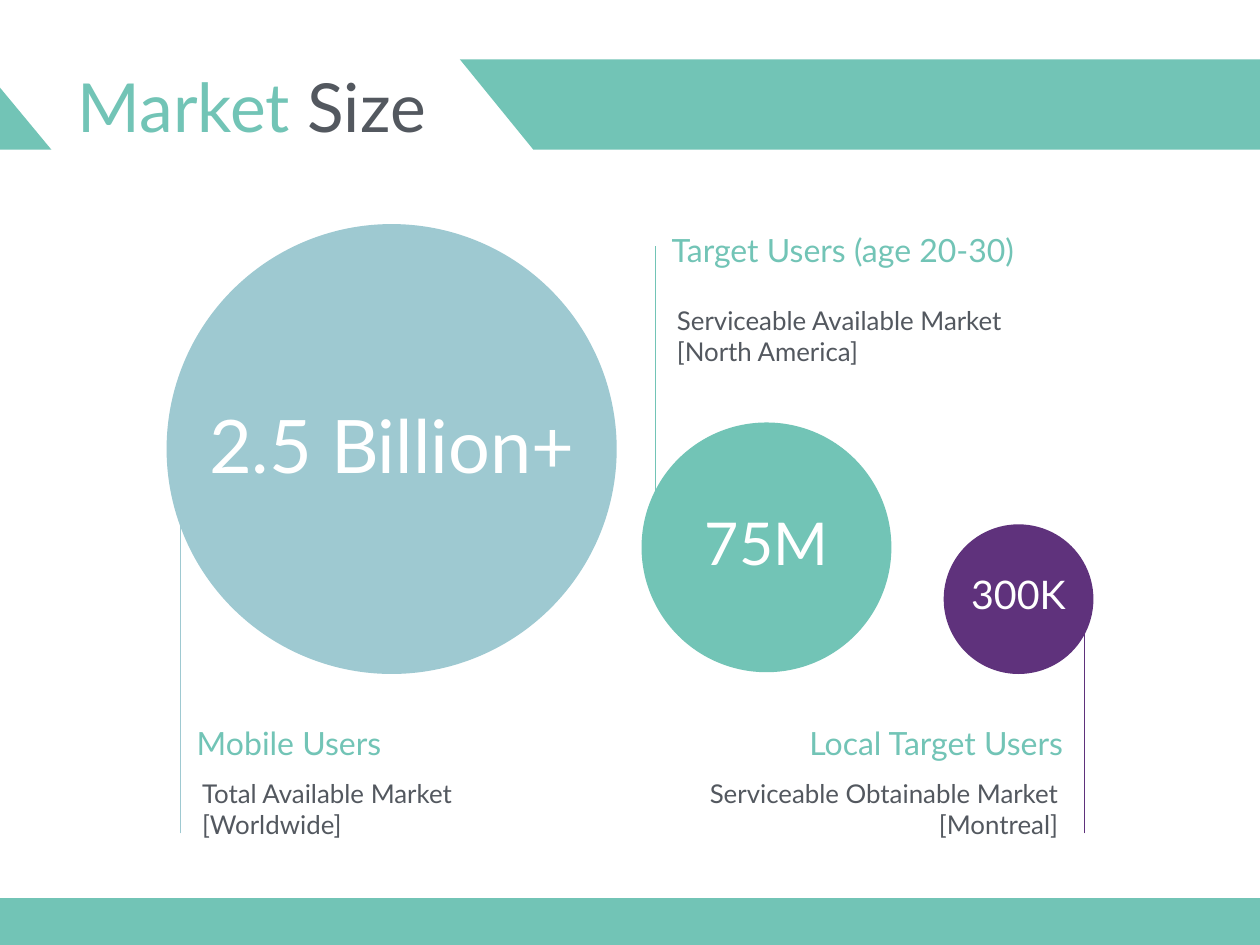
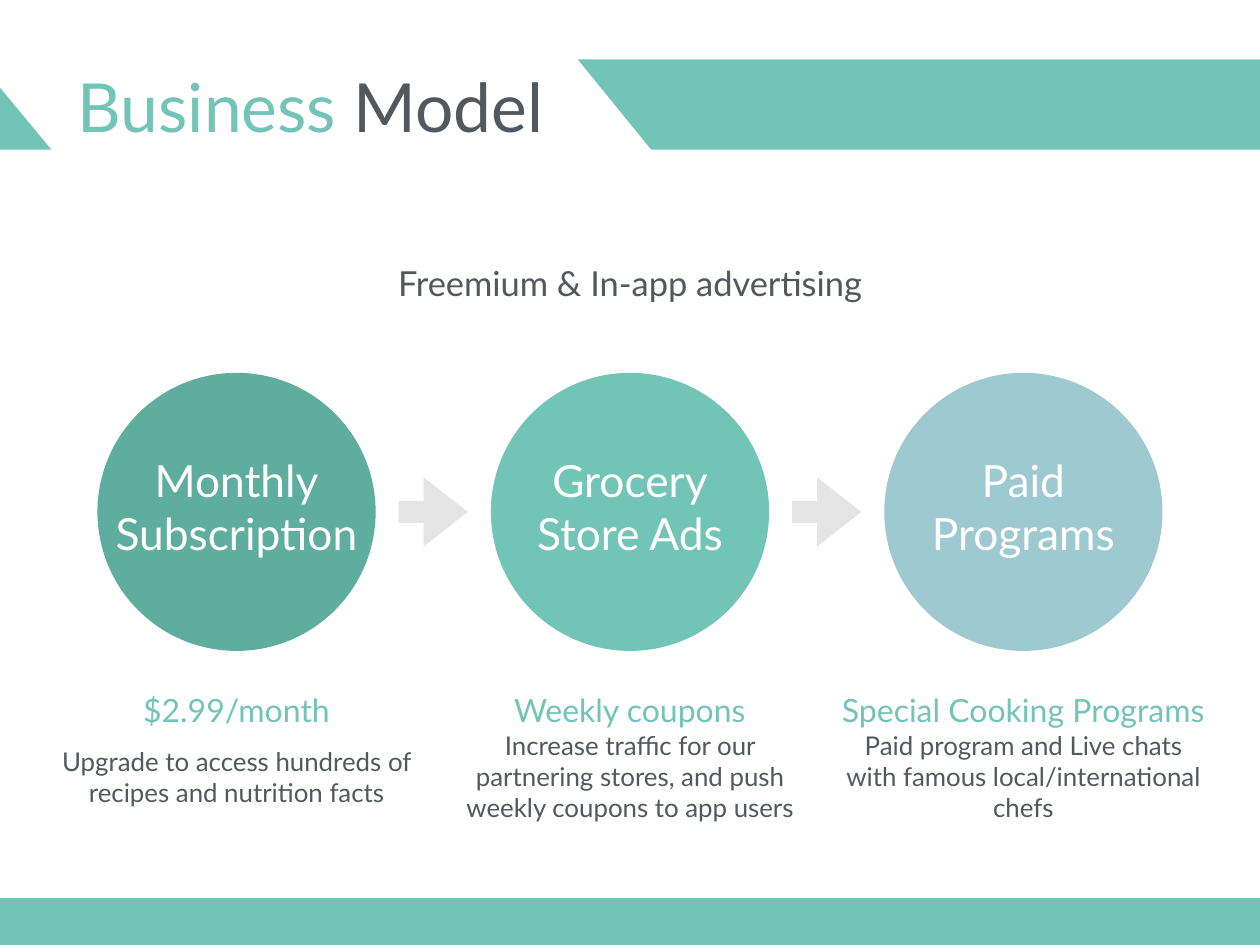
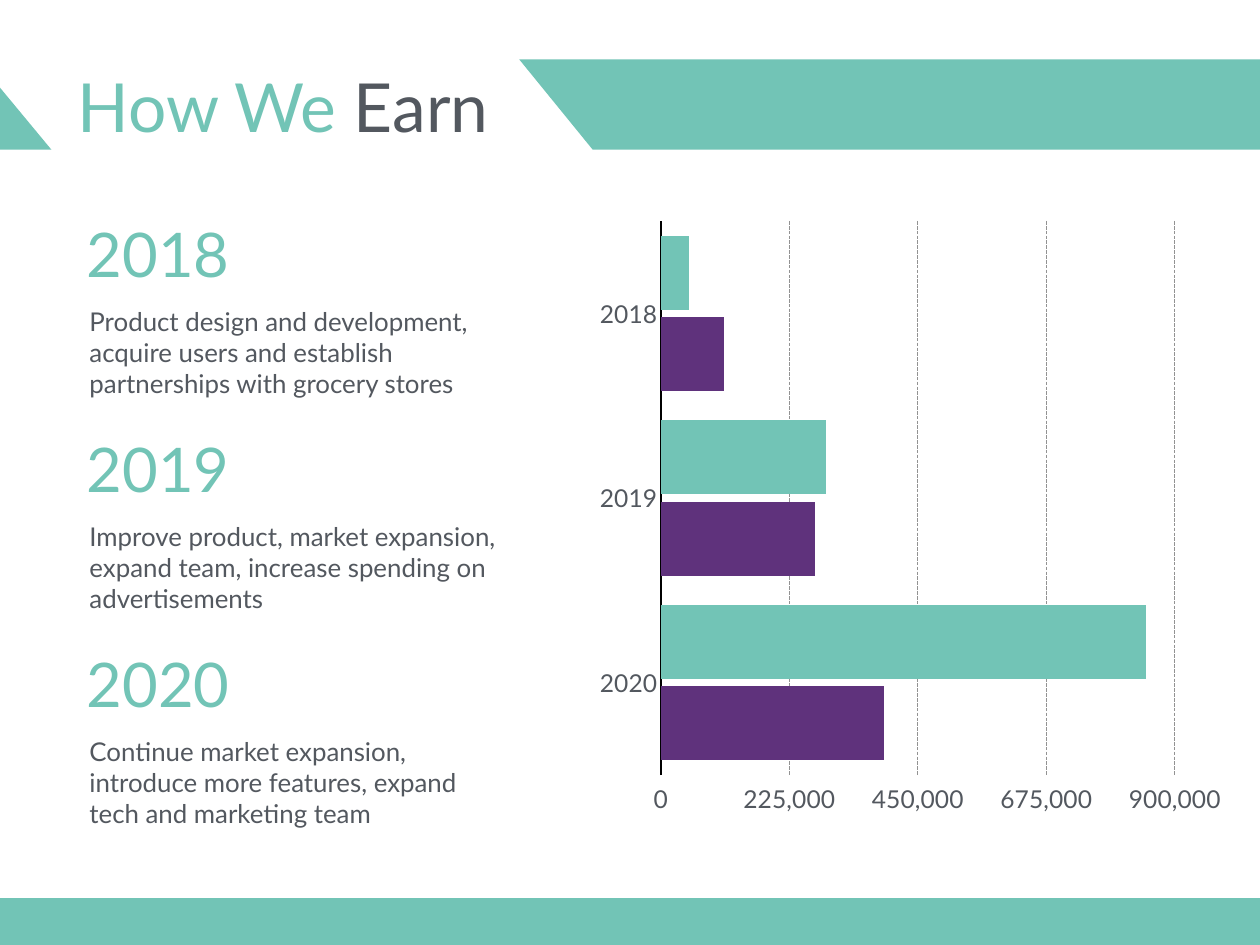
from lxml.etree import SubElement
from pptx import Presentation
from pptx.chart.data import CategoryChartData
from pptx.dml.color import RGBColor
from pptx.enum.chart import XL_CHART_TYPE, XL_TICK_LABEL_POSITION, XL_TICK_MARK
from pptx.enum.dml import MSO_LINE
from pptx.enum.shapes import MSO_CONNECTOR, MSO_SHAPE
from pptx.enum.text import MSO_ANCHOR, MSO_AUTO_SIZE, PP_ALIGN
from pptx.oxml import parse_xml
from pptx.oxml.ns import nsdecls, qn
from pptx.util import Inches, Pt

COLORS = {name: RGBColor.from_string(value) for name, value in {
    "teal": "72C4B6", "dark_teal": "5EAD9E", "blue": "9EC9D1", "purple": "5F327C",
    "text": "53585F", "white": "FFFFFF", "arrow": "E4E4E4", "grid": "929292",
    "axis": "000000"}.items()}
FONT = "Lato"
WIDTH, HEIGHT = 14.22, 10.67
BAND_TOP, BAND_BOTTOM, SLANT = 0.67, 1.69, 0.83
LEFT, CENTER, RIGHT = PP_ALIGN.LEFT, PP_ALIGN.CENTER, PP_ALIGN.RIGHT


def paint(shape, color):
    shape.fill.solid()
    shape.fill.fore_color.rgb = COLORS[color]
    shape.line.fill.background()
    shape.shadow.inherit = False


def write(tf, text, size, color, align=LEFT, inset=0, wrap=True):
    tf.text = text
    tf.word_wrap = wrap
    tf.auto_size = MSO_AUTO_SIZE.NONE
    tf.vertical_anchor = MSO_ANCHOR.MIDDLE
    tf.margin_left = tf.margin_right = tf.margin_top = tf.margin_bottom = Inches(inset)
    for p in tf.paragraphs:
        p.alignment = align
        for r in p.runs:
            r.font.name = FONT
            r.font.size = Pt(size)
            r.font.color.rgb = COLORS[color]


prs = Presentation()
prs.slide_width, prs.slide_height = Inches(WIDTH), Inches(HEIGHT)

# Shared frame: two-colour title, slanted header bands, footer band
slides = []
for first, second, band_x in [("Market ", "Size", 5.19),
                              ("Business ", "Model", 6.52),
                              ("How We ", "Earn", 5.86)]:
    s = prs.slides.add_slide(prs.slide_layouts[5])
    slides.append(s)
    title = s.shapes.title
    title.left, title.top = Inches(0.82), Inches(BAND_TOP)
    title.width, title.height = Inches(band_x - 1.02), Inches(1.03)
    write(title.text_frame, first, 55, "teal", inset=0.06, wrap=False)
    r = title.text_frame.paragraphs[0].add_run()
    r.text = second
    r.font.name, r.font.size = FONT, Pt(55)
    r.font.color.rgb = COLORS["text"]

    for outline in [
        [(0, 0.99), (0, BAND_BOTTOM), (0.58, BAND_BOTTOM)],
        [(band_x, BAND_TOP), (WIDTH, BAND_TOP), (WIDTH, BAND_BOTTOM),
         (band_x + SLANT, BAND_BOTTOM)],
    ]:
        points = [(Inches(x), Inches(y)) for x, y in outline]
        builder = s.shapes.build_freeform(*points[0])
        builder.add_line_segments(points[1:], close=True)
        paint(builder.convert_to_shape(), "teal")
    footer = s.shapes.add_shape(MSO_SHAPE.RECTANGLE, 0, Inches(10.14),
                                Inches(WIDTH), Inches(HEIGHT - 10.14))
    paint(footer, "teal")

market, model, earn = slides

# Market Size: leader lines, behind the circles
for x, top, bottom, color in [(2.04, 5.15, 9.41, "blue"),
                              (7.4, 2.78, 5.96, "teal"),
                              (12.24, 6.74, 9.41, "purple")]:
    line = market.shapes.add_connector(MSO_CONNECTOR.STRAIGHT, Inches(x), Inches(bottom),
                                       Inches(x), Inches(top))
    line.line.color.rgb = COLORS[color]
    line.line.width = Pt(1)
    SubElement(line._element.spPr, qn("a:effectLst"))

# Circles of Market Size and Business Model
COLUMNS = [1.1 + 4.44 * i for i in range(3)]
for s, x, y, size, color, text, font_size in [
    (market, 1.88, 2.53, 5.08, "blue", "2.5 Billion+", 60),
    (market, 7.24, 4.77, 2.82, "teal", "75M", 48),
    (market, 10.65, 5.92, 1.69, "purple", "300K", 32),
    (model, COLUMNS[0], 4.21, 3.14, "dark_teal", "Monthly\nSubscription", 36),
    (model, COLUMNS[1], 4.21, 3.14, "teal", "Grocery\nStore Ads", 36),
    (model, COLUMNS[2], 4.21, 3.14, "blue", "Paid\nPrograms", 36),
]:
    circle = s.shapes.add_shape(MSO_SHAPE.OVAL, *map(Inches, (x, y, size, size)))
    paint(circle, color)
    write(circle.text_frame, text, font_size, "white", CENTER, wrap=False)
    circle.text_frame.margin_bottom = Inches(0.12)

# Business Model: arrows between the circles
for x in COLUMNS[:2]:
    arrow = model.shapes.add_shape(MSO_SHAPE.RIGHT_ARROW,
                                   *map(Inches, (x + 3.4, 5.39, 0.78, 0.78)))
    arrow.adjustments[0], arrow.adjustments[1] = 0.32, 0.64
    paint(arrow, "arrow")

tagline = model.shapes.add_textbox(*map(Inches, (1.95, 2.9, 10.32, 0.58)))
write(tagline.text_frame, "Freemium & In-app advertising", 28, "text", CENTER, 0.06)

# Headings with a description: slide, left, width, heading top and height, size,
# description top and height, alignment, texts
captions = [
    (market, 2.22, 4.32, 8.17, 0.43, 26, 8.73, 0.81, LEFT,
     "Mobile Users", "Total Available Market [Worldwide]"),
    (market, 7.58, 4.32, 2.61, 0.43, 26, 3.38, 0.81, LEFT,
     "Target Users (age 20-30)", "Serviceable Available Market [North America]"),
    (market, 7.68, 4.32, 8.17, 0.43, 26, 8.73, 0.81, RIGHT,
     "Local Target Users", "Serviceable Obtainable Market [Montreal]"),
]
for x, (heading, description) in zip(COLUMNS, [
    ("$2.99/month", "Upgrade to access hundreds of recipes and nutrition facts"),
    ("Weekly coupons", "Increase traffic for our partnering stores, "
                       "and push weekly coupons to app users"),
    ("Special Cooking Programs", "Paid program and Live chats with famous "
                                 "local/international chefs"),
]):
    captions.append((model, x - 0.59, 4.32, 7.8, 0.43, 26, 8.19, 1.15, CENTER,
                     heading, description))
years = ["2018", "2019", "2020"]
for i, description in enumerate([
    "Product design and development, acquire users and establish "
    "partnerships with grocery stores",
    "Improve product, market expansion, expand team, increase spending on advertisements",
    "Continue market expansion, introduce more features, expand tech and marketing team",
]):
    y = 2.44 + 2.43 * i
    captions.append((earn, 0.95, 4.78, y, 0.83, 50, y + 0.96, 1.15, LEFT,
                     years[i], description))

for s, x, w, y, h, size, body_y, body_h, align, heading, description in captions:
    head = s.shapes.add_textbox(*map(Inches, (x, y, w, h)))
    write(head.text_frame, heading, size, "teal", align, 0.03 if s is earn else 0)
    body = s.shapes.add_textbox(*map(Inches, (x, body_y, w, body_h)))
    write(body.text_frame, description, 21, "text", align, 0.06)

# How We Earn: bar chart
data = CategoryChartData(number_format="#,##0")
data.categories = years
data.add_series("Series 1", (50000, 290000, 850000))
data.add_series("Series 2", (110000, 270000, 390000))
chart = earn.shapes.add_chart(XL_CHART_TYPE.BAR_CLUSTERED,
                              *map(Inches, (6.6, 2.14, 7.18, 7.11)), data).chart
chart.has_legend = chart.has_title = False
chart.font.name, chart.font.size = FONT, Pt(20)
chart.font.color.rgb = COLORS["text"]
plot = chart.plots[0]
plot.gap_width, plot.overlap, plot.vary_by_categories = 40, -10, False
for series, color in zip(plot.series, ("teal", "purple")):
    series.format.fill.solid()
    series.format.fill.fore_color.rgb = COLORS[color]

# Axes: first year on top, values along the bottom
cat_axis, val_axis = chart.category_axis, chart.value_axis
for axis in (cat_axis, val_axis):
    axis.major_tick_mark = axis.minor_tick_mark = XL_TICK_MARK.NONE
cat_axis.reverse_order = True
cat_axis.format.line.color.rgb = COLORS["axis"]
cat_axis.format.line.width = Pt(1)
val_axis.tick_label_position = XL_TICK_LABEL_POSITION.HIGH
val_axis.minimum_scale, val_axis.maximum_scale, val_axis.major_unit = 0, 900000, 225000
val_axis.tick_labels.number_format = "#,##0"
val_axis.tick_labels.number_format_is_linked = False
val_axis.format.line.fill.background()
grid = val_axis.major_gridlines.format.line
grid.color.rgb = COLORS["grid"]
grid.width = Pt(1)
grid.dash_style = MSO_LINE.SQUARE_DOT

# Fixed plot area
plot_area = chart.element.find(".//" + qn("c:plotArea"))
for layout in plot_area.findall(qn("c:layout")):
    plot_area.remove(layout)
plot_area.insert(0, parse_xml(
    f'<c:layout {nsdecls("c")}><c:manualLayout><c:layoutTarget val="inner"/>'
    '<c:xMode val="edge"/><c:yMode val="edge"/><c:x val="0.12"/><c:y val="0.05"/>'
    '<c:w val="0.81"/><c:h val="0.88"/></c:manualLayout></c:layout>'))

prs.save("out.pptx")
